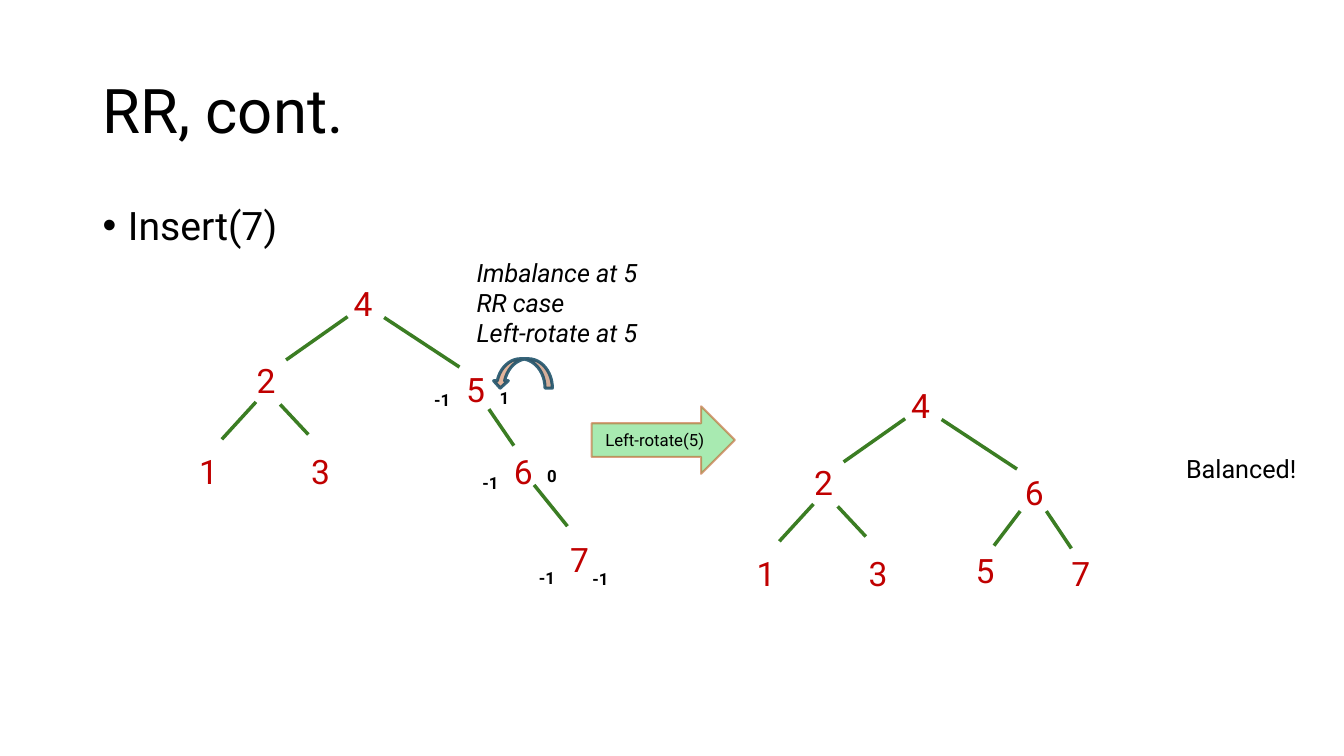
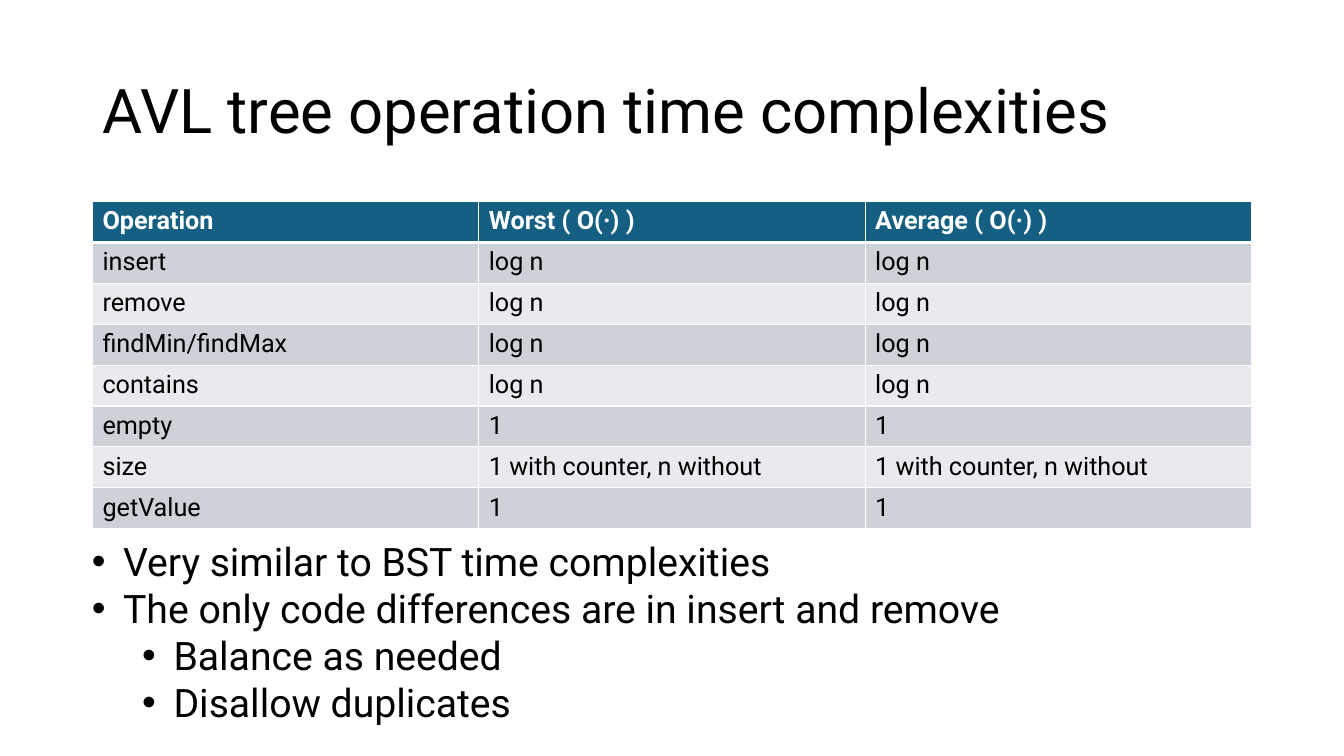
from dataclasses import dataclass

import lxml.etree
import pptx
import pptx.dml.color
import pptx.enum.shapes
import pptx.enum.text
import pptx.oxml.ns
import pptx.shapes.autoshape
import pptx.slide
import pptx.table
import pptx.text.text
import pptx.util

Cm = pptx.util.Cm
Pt = pptx.util.Pt
qn = pptx.oxml.ns.qn
Shapes = pptx.enum.shapes.MSO_SHAPE
Anchor = pptx.enum.text.MSO_ANCHOR
Align = pptx.enum.text.PP_ALIGN
AutoSize = pptx.enum.text.MSO_AUTO_SIZE

FONT = "Roboto"
COLORS = {
    "text": "000000",
    "white": "FFFFFF",
    "node": "C00000",
    "edge": "3B7D23",
    "step": "47D45A",
    "rust": "C04F15",
    "turn_line": "104862",
    "header": "156082",
    "band_dark": "CCD2D8",
    "band_light": "E8EAED",
}


# Repeated elements; lengths are in centimetres
@dataclass(frozen=True)
class Label:
    text: str
    left: float
    top: float


@dataclass(frozen=True)
class Edge:
    x1: float
    y1: float
    x2: float
    y2: float


@dataclass(frozen=True)
class Tree:
    left: float
    top: float
    nodes: tuple[Label, ...]
    edges: tuple[Edge, ...]
    balances: tuple[Label, ...] = ()


@dataclass(frozen=True)
class Item:
    text: str
    level: int = 0


@dataclass(frozen=True)
class ListStyle:
    indent: float
    hanging: float
    line_spacing: float


# Both trees share the root, its left subtree and the edge to the right child
SHARED_NODES = (
    Label("4", 0, 0), Label("2", -2.44, 1.93),
    Label("1", -3.89, 4.24), Label("3", -1.07, 4.24),
)
SHARED_EDGES = (
    Edge(0.1, 0.97, -1.45, 2.06), Edge(-2.21, 3.12, -3.07, 4.06),
    Edge(-1.6, 3.18, -0.89, 3.94), Edge(2.92, 2.24, 1.02, 0.99),
    
)
UNBALANCED = Tree(
    8.66, 7.01,
    (Label("5", 2.84, 2.16), Label("6", 4.04, 4.24), Label("7", 5.46, 6.45)),
    (Edge(3.66, 3.3, 4.29, 4.22), Edge(4.8, 5.21, 5.64, 6.25)),
    (
        Label("-1", 2.03, 2.69), Label("1", 3.68, 2.64),
        Label("-1", 3.25, 4.78), Label("0", 4.88, 4.6),
        Label("-1", 4.67, 7.16), Label("-1", 6.02, 7.19),
    ),
)
BALANCED = Tree(
    22.71, 9.58,
    (Label("6", 2.87, 2.18), Label("5", 1.63, 4.14), Label("7", 4.04, 4.24)),
    (Edge(3, 3.3, 2.34, 4.17), Edge(3.66, 3.3, 4.29, 4.24)),
)

# Worst and average complexities agree for every operation
COMPLEXITIES = {
    "insert": "log n",
    "remove": "log n",
    "findMin/findMax": "log n",
    "contains": "log n",
    "empty": "1",
    "size": "1 with counter, n without",
    "getValue": "1",
}


def rgb(name: str) -> pptx.dml.color.RGBColor:
    return pptx.dml.color.RGBColor.from_string(COLORS[name])


def style_para(para: pptx.text.text._Paragraph, size: float, color: str = "text",
               bold: bool = False, italic: bool = False) -> None:
    font = para.font
    font.name = FONT
    font.size = Pt(size)
    font.bold = bold
    font.italic = italic
    font.color.rgb = rgb(color)


def place(box: pptx.shapes.autoshape.Shape, left: float, top: float,
          width: float, height: float) -> None:
    box.left, box.top, box.width, box.height = map(Cm, (left, top, width, height))


# Titles and lists
def add_page(deck: pptx.presentation.Presentation, title: str) -> pptx.slide.Slide:
    page = deck.slides.add_slide(deck.slide_layouts[1])
    box = page.shapes.title
    place(box, 2.33, 1.01, 29.21, 3.68)
    frame = box.text_frame
    frame.text = title
    frame.auto_size = AutoSize.NONE
    frame.vertical_anchor = Anchor.MIDDLE
    para = frame.paragraphs[0]
    para.alignment = Align.LEFT
    para.line_spacing = 0.9
    style_para(para, 44)
    return page


def fill_list(page: pptx.slide.Slide, items: list[Item], style: ListStyle,
              left: float, top: float, width: float, height: float) -> None:
    box = page.placeholders[1]
    place(box, left, top, width, height)
    frame = box.text_frame
    frame.text = "\n".join(item.text for item in items)
    frame.auto_size = AutoSize.NONE
    for para, item in zip(frame.paragraphs, items):
        para.level = item.level
        para.space_before = Pt(0)
        para.line_spacing = style.line_spacing
        props = para._p.get_or_add_pPr()
        props.set("marL", str(Cm(style.indent + 1.27 * item.level)))
        props.set("indent", str(-Cm(style.hanging)))
        lxml.etree.SubElement(props, qn("a:buFont")).set("typeface", "Arial")
        lxml.etree.SubElement(props, qn("a:buChar")).set("char", "•")
        style_para(para, 28)


# Diagram parts
def add_label(page: pptx.slide.Slide, text: str, left: float, top: float,
              width: float, height: float, size: float, color: str = "text",
              bold: bool = False, italic: bool = False) -> None:
    box = page.shapes.add_textbox(Cm(left), Cm(top), Cm(width), Cm(height))
    frame = box.text_frame
    frame.word_wrap = True
    frame.auto_size = AutoSize.SHAPE_TO_FIT_TEXT
    frame.text = text
    for para in frame.paragraphs:
        style_para(para, size, color, bold, italic)


def add_edge(page: pptx.slide.Slide, edge: Edge, left: float, top: float) -> None:
    line = page.shapes.add_connector(
        pptx.enum.shapes.MSO_CONNECTOR.STRAIGHT,
        Cm(left + edge.x1), Cm(top + edge.y1),
        Cm(left + edge.x2), Cm(top + edge.y2),
    )
    line.line.color.rgb = rgb("edge")
    line.line.width = Pt(2.5)
    lxml.etree.SubElement(line.element.spPr, qn("a:effectLst"))


def add_tree(page: pptx.slide.Slide, tree: Tree) -> None:
    for edge in SHARED_EDGES + tree.edges:
        add_edge(page, edge, tree.left, tree.top)
    for node in SHARED_NODES + tree.nodes:
        add_label(page, node.text, tree.left + node.left, tree.top + node.top,
                  1.07, 1.27, 24, "node")
    for mark in tree.balances:
        add_label(page, mark.text, tree.left + mark.left, tree.top + mark.top,
                  1.17, 0.76, 12, bold=True)


def add_arrow(page: pptx.slide.Slide, kind: Shapes, left: float, top: float,
              width: float, height: float, fill: str, line: str, weight: float,
              opacities: tuple[int, int]) -> pptx.shapes.autoshape.Shape:
    arrow = page.shapes.add_shape(kind, Cm(left), Cm(top), Cm(width), Cm(height))
    arrow.shadow.inherit = False
    arrow.fill.solid()
    arrow.fill.fore_color.rgb = rgb(fill)
    arrow.line.color.rgb = rgb(line)
    arrow.line.width = Pt(weight)
    # The fill colour comes first, then the line colour
    for color, percent in zip(arrow.element.spPr.iter(qn("a:srgbClr")), opacities):
        lxml.etree.SubElement(color, qn("a:alpha")).set("val", str(percent * 1000))
    return arrow


# Table
def add_borders(cell: pptx.table._Cell, top: float, bottom: float) -> None:
    props = cell._tc.get_or_add_tcPr()
    for side, weight in (("L", 1), ("R", 1), ("T", top), ("B", bottom)):
        line = lxml.etree.SubElement(props, qn(f"a:ln{side}"), w=str(Pt(weight)))
        fill = lxml.etree.SubElement(line, qn("a:solidFill"))
        lxml.etree.SubElement(fill, qn("a:srgbClr")).set("val", COLORS["white"])


def add_complexity_table(page: pptx.slide.Slide) -> None:
    rows = [("Operation", "Worst ( O(·) )", "Average ( O(·) )")]
    rows += [(name, cost, cost) for name, cost in COMPLEXITIES.items()]
    table = page.shapes.add_table(
        len(rows), 3, Cm(2.33), Cm(5.08), Cm(29.21), Cm(8.24)).table
    table.horz_banding = False
    for index, row in enumerate(rows):
        header = index == 0
        band = "header" if header else "band_dark" if index % 2 else "band_light"
        for column, text in enumerate(row):
            cell = table.cell(index, column)
            add_borders(cell, 3 if index == 1 else 1, 3 if header else 1)
            cell.fill.solid()
            cell.fill.fore_color.rgb = rgb(band)
            cell.text = text
            style_para(cell.text_frame.paragraphs[0], 18,
                       "white" if header else "text", bold=header)


# Slides
def build_rotation(deck: pptx.presentation.Presentation) -> None:
    page = add_page(deck, "RR, cont.")
    fill_list(page, [Item("Insert(7)")], ListStyle(0.64, 0.64, 0.9),
              2.33, 5.08, 5.77, 1.37)
    add_tree(page, UNBALANCED)
    add_tree(page, BALANCED)

    step = add_arrow(page, Shapes.RIGHT_ARROW, 14.91, 10.24, 3.61, 1.7,
                     "step", "rust", 1.5, (47, 53))
    frame = step.text_frame
    frame.text = "Left-rotate(5)"
    frame.word_wrap = True
    frame.vertical_anchor = Anchor.MIDDLE
    frame.paragraphs[0].alignment = Align.CENTER
    style_para(frame.paragraphs[0], 12)

    turn = add_arrow(page, Shapes.CURVED_RIGHT_ARROW, 12.8, 8.66, 0.74, 1.5,
                     "rust", "turn_line", 2.25, (42, 84))
    turn.rotation = 90

    add_label(page, "Imbalance at 5\nRR case\nLeft-rotate at 5",
              11.76, 6.35, 5.77, 2.57, 18, italic=True)
    add_label(page, "Balanced!", 29.64, 11.3, 3.76, 1.02, 18)


def build_complexities(deck: pptx.presentation.Presentation) -> None:
    page = add_page(deck, "AVL tree operation time complexities")
    add_complexity_table(page)
    items = [
        Item("Very similar to BST time complexities"),
        Item("The only code differences are in insert and remove"),
        Item("Balance as needed", 1),
        Item("Disallow duplicates", 1),
    ]
    fill_list(page, items, ListStyle(0.79, 0.79, 1.0), 2.06, 13.41, 29.74, 5.05)


def main() -> None:
    deck = pptx.Presentation()
    deck.slide_width, deck.slide_height = Cm(33.87), Cm(19.05)
    build_rotation(deck)
    build_complexities(deck)
    deck.save("out.pptx")


if __name__ == "__main__":
    main()
